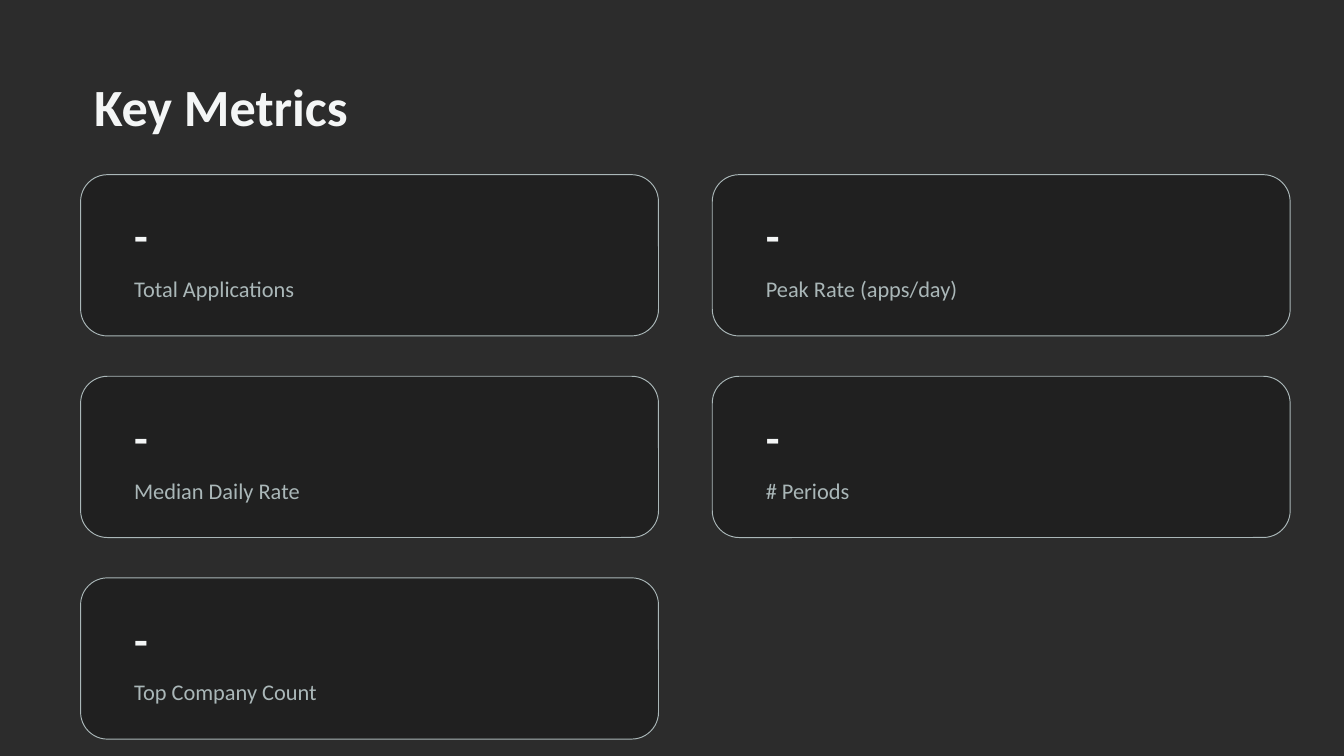
from pptx import Presentation
from pptx.dml.color import RGBColor
from pptx.enum.shapes import MSO_SHAPE
from pptx.enum.text import MSO_ANCHOR, PP_ALIGN
from pptx.util import Emu, Pt

EMU_PER_PX = 11430
ROUNDED = MSO_SHAPE.ROUNDED_RECTANGLE
TOP = MSO_ANCHOR.TOP
LEFT = PP_ALIGN.LEFT
TITLE_ONLY = 5

FONT = "Calibri"
BACKGROUND = "2C2C2C"
CARD_FILL = "202020"
BRIGHT = "F4F6F6"
MUTED = "AAB7B8"

COLUMNS = 2
MARGIN_LEFT, GRID_TOP = 48, 104
CARD_WIDTH, CARD_HEIGHT = 344, 96
COLUMN_STEP, ROW_STEP = 376, 120
CARD_PADDING = 24

METRICS = [
    ("-", "Total Applications"),
    ("-", "Peak Rate (apps/day)"),
    ("-", "Median Daily Rate"),
    ("-", "# Periods"),
    ("-", "Top Company Count"),
]


def px(length):
    return Emu(length * EMU_PER_PX)


def color(hex_code):
    return RGBColor.from_string(hex_code)


def write_text(box, text, size, hex_code, bold=False):
    frame = box.text_frame
    frame.word_wrap = True
    frame.vertical_anchor = TOP
    frame.text = text
    para = frame.paragraphs[0]
    para.alignment = LEFT
    para.line_spacing = 1.0
    para.font.name = FONT
    para.font.size = Pt(size)
    para.font.bold = bold
    para.font.color.rgb = color(hex_code)


def add_title(slide, text):
    title = slide.shapes.title
    title.left, title.top = px(MARGIN_LEFT), px(40)
    title.width, title.height = px(704), px(48)
    write_text(title, text, 28, BRIGHT, bold=True)


def add_label(slide, left, top, height, text, size, hex_code, bold=False):
    width = CARD_WIDTH - 2 * CARD_PADDING
    box = slide.shapes.add_textbox(px(left), px(top), px(width), px(height))
    write_text(box, text, size, hex_code, bold)


def add_card(slide, left, top, value, caption):
    card = slide.shapes.add_shape(
        ROUNDED, px(left), px(top), px(CARD_WIDTH), px(CARD_HEIGHT)
    )
    card.shadow.inherit = False
    card.fill.solid()
    card.fill.fore_color.rgb = color(CARD_FILL)
    card.line.color.rgb = color(MUTED)
    card.line.width = Pt(0.5)
    text_left = left + CARD_PADDING
    add_label(slide, text_left, top + 16, 40, value, 24, BRIGHT, bold=True)
    add_label(slide, text_left, top + 56, 32, caption, 12, MUTED)


def main():
    deck = Presentation()
    deck.slide_width, deck.slide_height = px(800), px(450)
    slide = deck.slides.add_slide(deck.slide_layouts[TITLE_ONLY])
    slide.background.fill.solid()
    slide.background.fill.fore_color.rgb = color(BACKGROUND)
    add_title(slide, "Key Metrics")
    for index, (value, caption) in enumerate(METRICS):
        row, column = divmod(index, COLUMNS)
        left = MARGIN_LEFT + column * COLUMN_STEP
        top = GRID_TOP + row * ROW_STEP
        add_card(slide, left, top, value, caption)
    deck.save("out.pptx")


if __name__ == "__main__":
    main()
